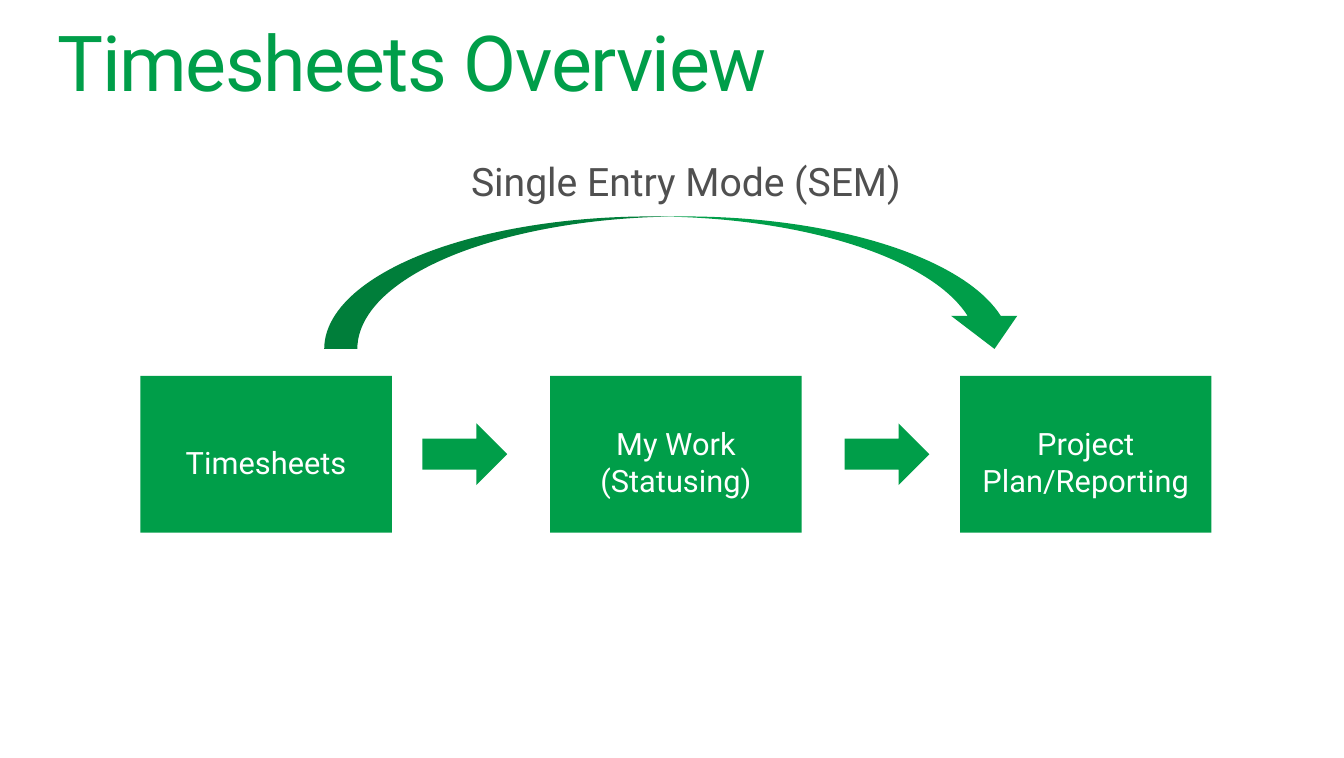
from pptx import Presentation
from pptx.dml.color import RGBColor
from pptx.enum.shapes import MSO_SHAPE as Preset
from pptx.enum.text import MSO_ANCHOR as Anchor, PP_ALIGN as Align
from pptx.util import Cm, Pt

GREEN = RGBColor(0x00, 0x9E, 0x49)
GRAY = RGBColor(0x50, 0x50, 0x50)
WHITE = RGBColor(0xFF, 0xFF, 0xFF)

STEPS = ("Timesheets", "My Work (Statusing)", "Project Plan/Reporting")
STEP_LEFT, STEP_PITCH = 3.53, 10.3
ARROW_LEFTS = (10.62, 21.23)


def write_text(shape, text, size, color=GREEN, align=Align.LEFT, anchor=Anchor.TOP,
               insets=(0, 0, 0, 0), line_spacing=None, tracking=0):
    """Put one formatted paragraph into a shape, with tracking in points."""
    frame = shape.text_frame
    frame.word_wrap = True
    frame.vertical_anchor = anchor
    frame.margin_left, frame.margin_top, frame.margin_right, frame.margin_bottom = map(Cm, insets)
    paragraph = frame.paragraphs[0]
    paragraph.alignment = align
    paragraph.line_spacing = line_spacing
    run = paragraph.add_run()
    run.text = text
    run.font.name = "Roboto"
    run.font.size = Pt(size)
    run.font.color.rgb = color
    if tracking:
        run._r.get_or_add_rPr().set("spc", str(round(tracking * 100)))


def add_label(slide, box, text, size, **text_format):
    """Add a text box at left, top, width, height in centimetres."""
    shape = slide.shapes.add_textbox(*map(Cm, box))
    write_text(shape, text, size, **text_format)


def add_green_shape(slide, preset, box):
    """Add a flat green preset shape without outline."""
    shape = slide.shapes.add_shape(preset, *map(Cm, box))
    shape.shadow.inherit = False
    shape.fill.solid()
    shape.fill.fore_color.rgb = GREEN
    shape.line.fill.background()
    return shape


def add_step(slide, left, text):
    """Add one box of the process."""
    shape = add_green_shape(slide, Preset.RECTANGLE, (left, 9.45, 6.32, 3.94))
    write_text(shape, text, 21.9, color=WHITE, align=Align.CENTER,
               anchor=Anchor.MIDDLE, insets=(0.5, 0.5, 0.5, 0.13))


def main():
    """Build the timesheets overview slide."""
    presentation = Presentation()
    presentation.slide_width = Cm(33.78)
    presentation.slide_height = Cm(19.05)
    slide = presentation.slides.add_slide(presentation.slide_layouts[6])

    add_label(slide, (1.45, 0.62, 30.91, 2.08), "Timesheets Overview", 55,
              line_spacing=0.9, tracking=-1)
    for index, text in enumerate(STEPS):
        add_step(slide, STEP_LEFT + index * STEP_PITCH, text)
    for left in ARROW_LEFTS:
        add_green_shape(slide, Preset.RIGHT_ARROW, (left, 10.64, 2.13, 1.55))
    add_green_shape(slide, Preset.CURVED_DOWN_ARROW, (8.15, 5.44, 17.68, 3.33))
    add_label(slide, (11.84, 3.96, 11.56, 1.47), "Single Entry Mode (SEM)", 27.9, color=GRAY)

    presentation.save("out.pptx")


if __name__ == "__main__":
    main()
